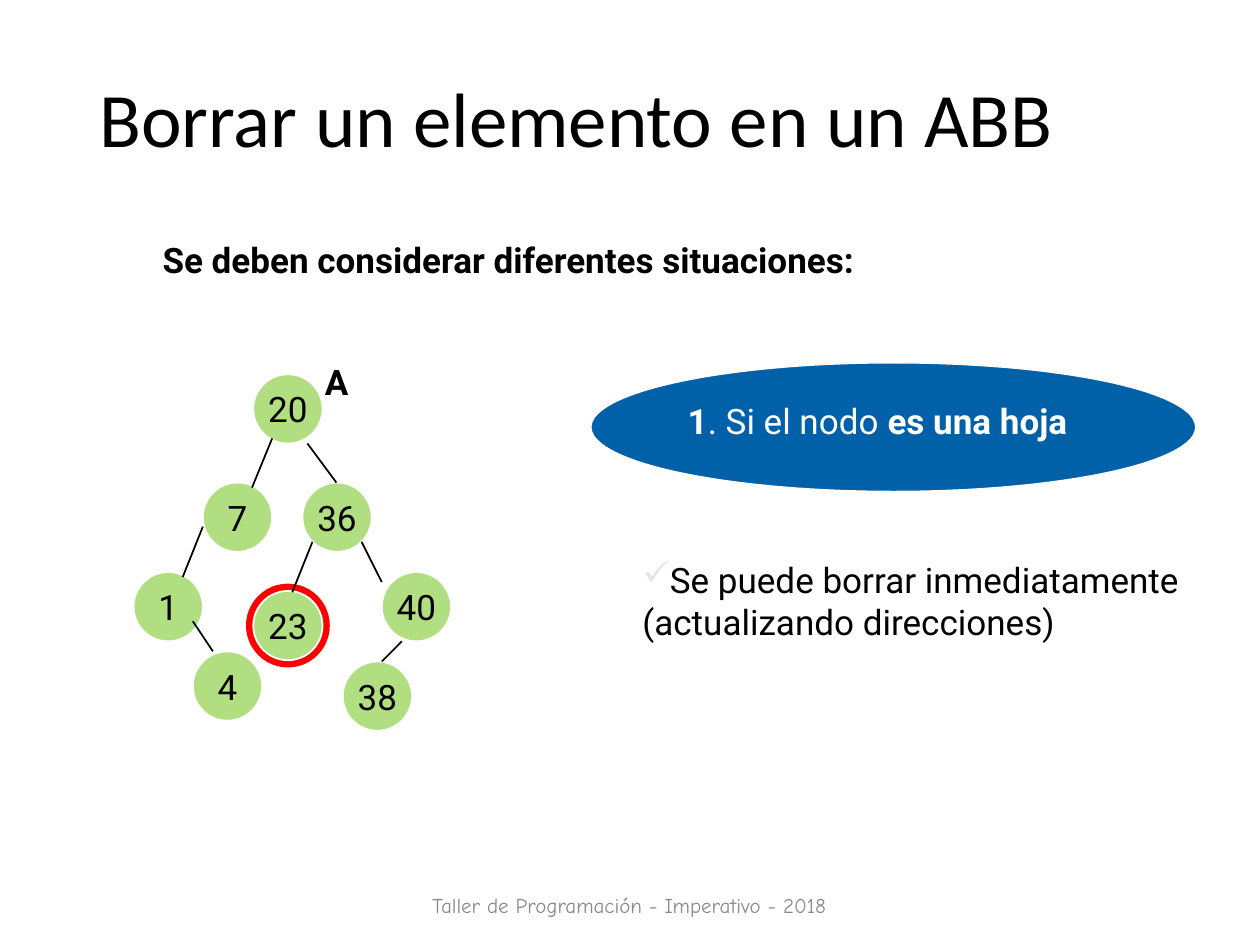
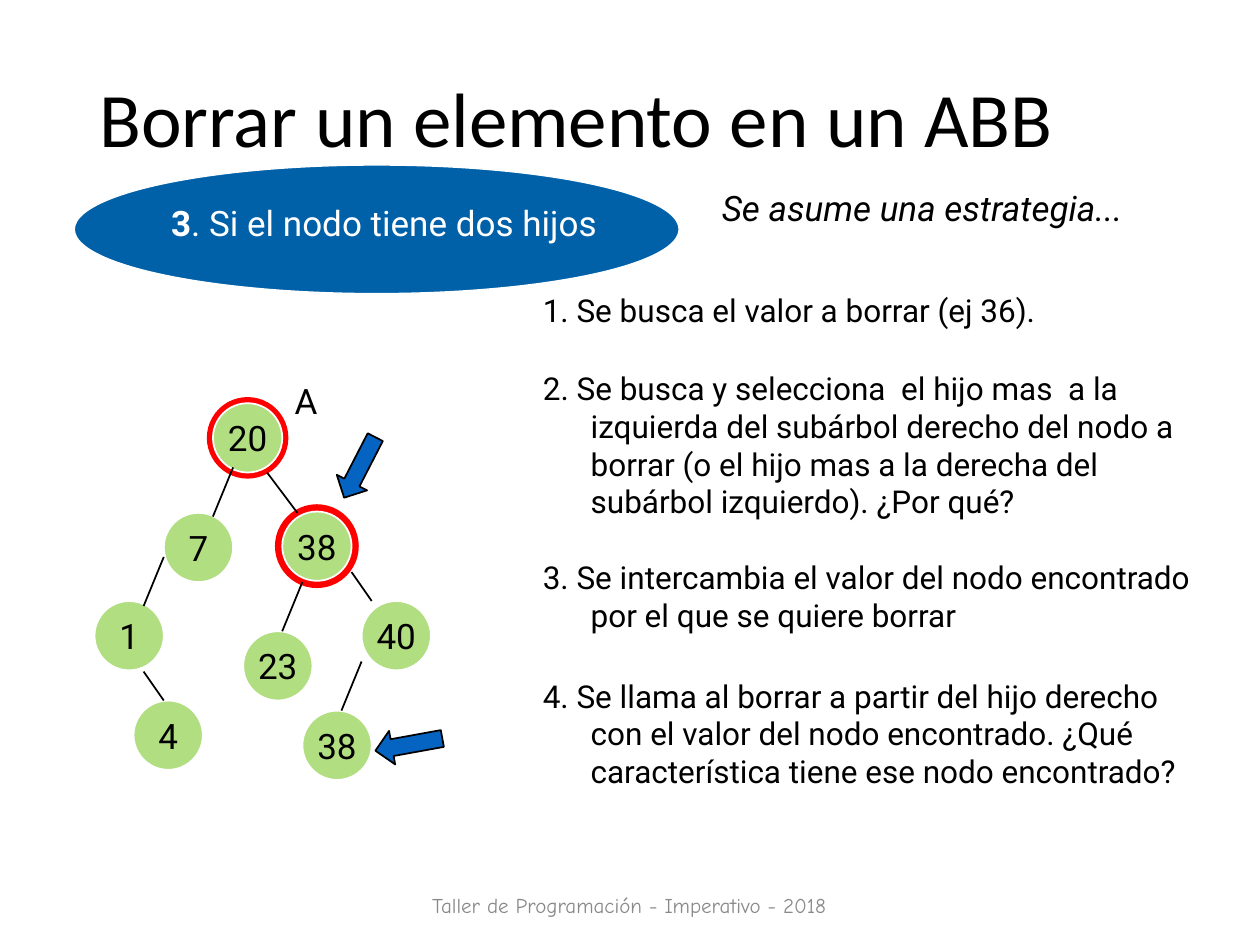
from dataclasses import dataclass

from lxml import etree
from pptx import Presentation
from pptx.dml.color import RGBColor
from pptx.enum.shapes import MSO_CONNECTOR, MSO_SHAPE
from pptx.enum.text import MSO_ANCHOR, MSO_AUTO_SIZE, PP_ALIGN
from pptx.oxml.ns import qn
from pptx.util import Inches, Pt

OVAL = MSO_SHAPE.OVAL
ARROW = MSO_SHAPE.DOWN_ARROW
LINE = MSO_CONNECTOR.STRAIGHT
LEFT = PP_ALIGN.LEFT
MID = PP_ALIGN.CENTER
TOP = MSO_ANCHOR.TOP
CENTER = MSO_ANCHOR.MIDDLE
FIXED = MSO_AUTO_SIZE.NONE

HUES = {
    "ink": "000000",
    "white": "FFFFFF",
    "leaf": "B2DE82",
    "halo": "BED1E0",
    "red": "FF0000",
    "blue": "0060A8",
    "arrow": "0563C1",
    "check": "E7E6E6",
    "foot": "898989",
}
FONT = "Roboto"
TITLE = "Borrar un elemento en un ABB"
FOOT = "Taller de Programación - Imperativo - 2018"
SIDE = 0.55
TITLE_ONLY, CONTENT = 5, 1


@dataclass
class Node:
    label: str
    left: float
    top: float
    ring: float = 0
    weight: float = 0


@dataclass
class Edge:
    x1: float
    y1: float
    x2: float
    y2: float


@dataclass
class Arrow:
    left: float
    top: float
    turn: float


@dataclass
class Step:
    text: str
    top: float
    width: float
    height: float


TREE_LEAF = [
    Node("20", 2.01, 2.97), Node("7", 1.61, 3.83), Node("36", 2.4, 3.83),
    Node("1", 1.06, 4.54), Node("4", 1.53, 5.17),
    Node("23", 2.01, 4.69, 0.61, 4), Node("40", 3.03, 4.54),
    Node("38", 2.72, 5.25),
]
EDGES_LEAF = [
    Edge(2.16, 3.48, 2, 3.87), Edge(2.44, 3.52, 2.67, 3.83),
    Edge(1.61, 4.18, 1.45, 4.58), Edge(1.53, 4.93, 1.69, 5.17),
    Edge(2.48, 4.3, 2.32, 4.7), Edge(2.87, 4.3, 3.03, 4.62),
    Edge(3.19, 5.09, 3.03, 5.25),
]
TREE_TWO = [
    Node("20", 1.69, 3.2, 0.55, 7), Node("7", 1.3, 4.07),
    Node("38", 2.24, 4.06, 0.61, 4), Node("1", 0.75, 4.77),
    Node("4", 1.06, 5.56), Node("23", 1.93, 5.01),
    Node("40", 2.87, 4.77), Node("38", 2.4, 5.64),
]
EDGES_TWO = [
    Edge(1.85, 3.71, 1.69, 4.1), Edge(2.12, 3.75, 2.36, 4.07),
    Edge(1.3, 4.42, 1.14, 4.81), Edge(1.14, 5.33, 1.3, 5.56),
    Edge(2.4, 4.62, 2.24, 5.01), Edge(2.79, 4.54, 2.95, 4.77),
    Edge(2.87, 5.25, 2.71, 5.64),
]
ARROWS = [Arrow(2.72, 3.44, 27.2), Arrow(3.11, 5.64, 79.7)]
STEPS = [
    Step("1. Se busca el valor a borrar (ej 36).", 2.26, 4.73, 0.55),
    Step("2. Se busca y selecciona  el hijo mas  a la izquierda del subárbol "
         "derecho del nodo a borrar (o el hijo mas a la derecha del subárbol "
         "izquierdo). ¿Por qué?", 2.88, 5.52, 1.34),
    Step("3. Se intercambia el valor del nodo encontrado por el que se quiere "
         "borrar", 4.38, 5.43, 0.71),
    Step("4. Se llama al borrar a partir del hijo derecho con el valor del "
         "nodo encontrado. ¿Qué característica tiene ese nodo encontrado?",
         5.32, 5.43, 1.18),
]


def color(name: str) -> RGBColor:
    return RGBColor.from_string(HUES[name])


def place(shape, left: float, top: float, width: float, height: float):
    shape.left, shape.top = Inches(left), Inches(top)
    shape.width, shape.height = Inches(width), Inches(height)
    return shape


def write(shape, text: str, *, size=20, hue="ink", font=FONT, align=LEFT,
          anchor=TOP, wrap=True, italic=False, lines=1.0, hang=0.0,
          mark="") -> None:
    """Text between asterisks is bold; a mark is the first line's bullet."""
    frame = shape.text_frame
    frame.word_wrap, frame.auto_size = wrap, FIXED
    frame.vertical_anchor = anchor
    for i, row in enumerate(text.split("\n")):
        para = frame.paragraphs[0] if i == 0 else frame.add_paragraph()
        props = para._p.get_or_add_pPr()
        props.set("marL", str(Inches(hang)))
        props.set("indent", str(-Inches(hang)))
        para.alignment, para.line_spacing = align, lines
        para.space_before = Pt(0)
        if mark and i == 0:
            tint = etree.SubElement(props, qn("a:buClr"))
            etree.SubElement(tint, qn("a:srgbClr"), val=HUES["check"])
            etree.SubElement(props, qn("a:buChar"), char=mark)
        else:
            etree.SubElement(props, qn("a:buNone"))
        for j, part in enumerate(row.split("*")):
            if part:
                run = para.add_run()
                run.text = part
                face = run.font
                face.name, face.size = font, Pt(size)
                face.bold, face.italic = j % 2 == 1, italic
                face.color.rgb = color(hue)


def label(slide, text: str, left: float, top: float, width: float,
          height: float, **style) -> None:
    box = place(slide.shapes.add_textbox(0, 0, 0, 0), left, top, width, height)
    write(box, text, **style)


def draw(slide, kind, left: float, top: float, width: float, height: float,
         fill: str, line: str, weight: float):
    shape = slide.shapes.add_shape(kind, Inches(left), Inches(top),
                                   Inches(width), Inches(height))
    shape.shadow.inherit = False
    shape.fill.solid()
    shape.fill.fore_color.rgb = color(fill)
    shape.line.color.rgb = color(line)
    shape.line.width = Pt(weight)
    return shape


def plant(slide, nodes: list[Node], edges: list[Edge]) -> None:
    for node in nodes:
        if node.ring:
            gap = (node.ring - SIDE) / 2
            draw(slide, OVAL, node.left - gap, node.top - gap, node.ring,
                 node.ring, "halo", "red", node.weight)
    for node in nodes:
        disc = draw(slide, OVAL, node.left, node.top, SIDE, SIDE,
                    "leaf", "white", 1)
        write(disc, node.label, align=MID, anchor=CENTER, wrap=False)
    for edge in edges:
        link = slide.shapes.add_connector(
            LINE, Inches(edge.x1), Inches(edge.y1),
            Inches(edge.x2), Inches(edge.y2))
        link.line.color.rgb = color("ink")
        link.line.width = Pt(1)
        etree.SubElement(link._element.spPr, qn("a:effectLst"))


def banner(slide, text: str, left: float, top: float) -> None:
    draw(slide, OVAL, left, top, 4.8, 1.02, "blue", "white", 0.75)
    label(slide, text, left + 0.67, top + 0.24, 4.1, 0.44, hue="white")


def start(deck, layout: int):
    slide = deck.slides.add_slide(deck.slide_layouts[layout])
    title = place(slide.shapes.title, 0.69, 0.25, 8.63, 1.45)
    write(title, TITLE, size=44, font="Calibri", anchor=CENTER, lines=0.9)
    label(slide, FOOT, 3.31, 6.95, 3.37, 0.4, size=12, hue="foot",
          font="Comic Neue", align=MID, anchor=CENTER, lines=1.35)
    return slide


def leaf_case(deck) -> None:
    slide = start(deck, CONTENT)
    body = place(slide.placeholders[1], 1.19, 1.88, 8.06, 0.69)
    write(body, "*Se deben considerar diferentes situaciones:*",
          lines=0.9, hang=0.25)
    plant(slide, TREE_LEAF, EDGES_LEAF)
    label(slide, "*A*", 2.48, 2.81, 0.39, 0.44)
    banner(slide, "*1*. Si el nodo *es una hoja*", 4.69, 2.88)
    label(slide, "Se puede borrar inmediatamente\n(actualizando direcciones)",
          5, 4.38, 4.57, 1.1, mark="✓")


def two_case(deck) -> None:
    slide = start(deck, TITLE_ONLY)
    plant(slide, TREE_TWO, EDGES_TWO)
    label(slide, "A", 2.24, 2.96, 0.39, 0.44)
    for item in ARROWS:
        arrow = draw(slide, ARROW, item.left, item.top, 0.27, 0.54,
                     "arrow", "ink", 1)
        arrow.rotation = item.turn
    for step in STEPS:
        label(slide, step.text, 4.21, step.top, step.width, step.height,
              size=18, hang=0.38)
    banner(slide, "*3*. Si el nodo tiene dos hijos", 0.59, 1.31)
    label(slide, "Se asume una estrategia...", 5.63, 1.43, 3.62, 0.44,
          italic=True)


def main() -> None:
    deck = Presentation()
    deck.slide_width, deck.slide_height = Inches(10), Inches(7.5)
    leaf_case(deck)
    two_case(deck)
    deck.save("out.pptx")


if __name__ == "__main__":
    main()
